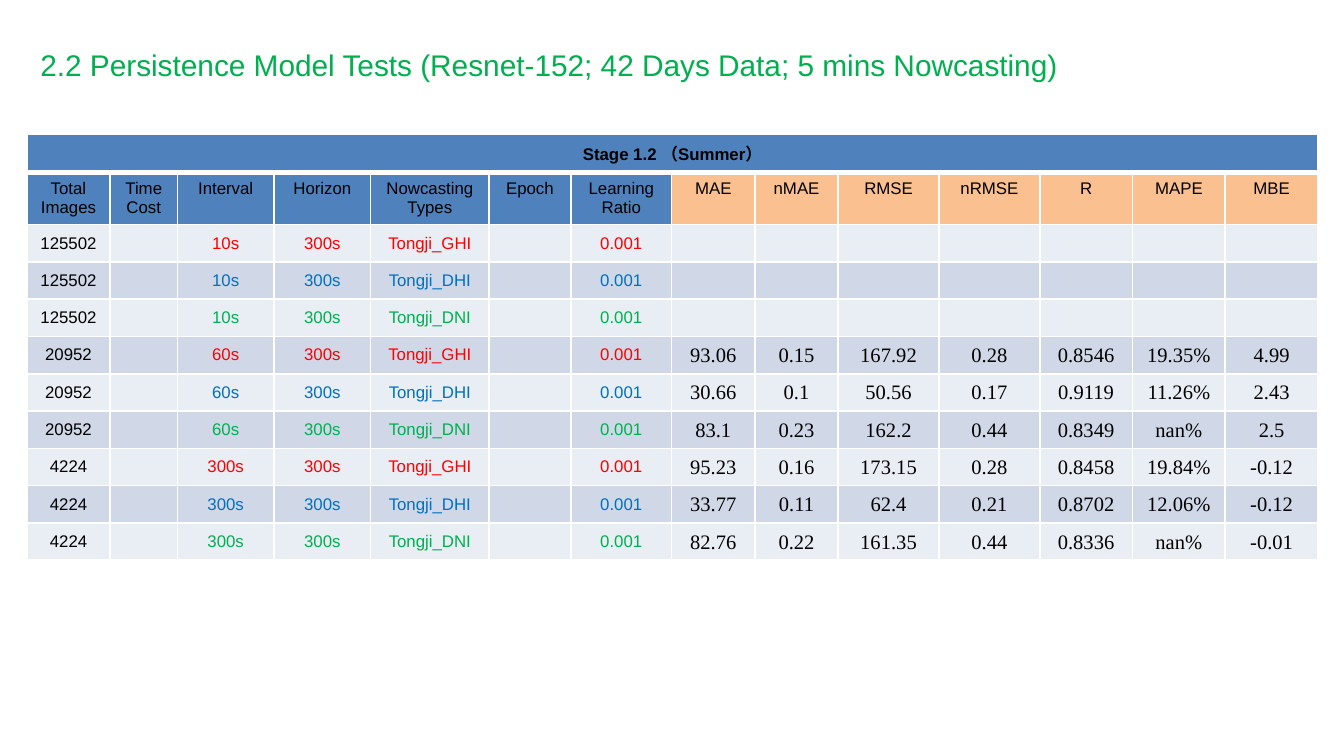
"""Build the slide with the persistence model test results table."""
from lxml import etree
from pptx import Presentation
from pptx.dml.color import RGBColor
from pptx.enum.text import MSO_ANCHOR, PP_ALIGN
from pptx.oxml.ns import qn
from pptx.util import Pt

TOP, MIDDLE = MSO_ANCHOR.TOP, MSO_ANCHOR.MIDDLE
LEFT, CENTER = PP_ALIGN.LEFT, PP_ALIGN.CENTER

TITLE = "2.2 Persistence Model Tests (Resnet-152; 42 Days Data; 5 mins Nowcasting)"
STAGE = "Stage 1.2 （Summer）"
SETTINGS = ["Total\nImages", "Time Cost", "Interval", "Horizon",
            "Nowcasting\nTypes", "Epoch", "Learning Ratio"]
METRICS = ["MAE", "nMAE", "RMSE", "nRMSE", "R", "MAPE", "MBE"]
HORIZON, LEARNING_RATIO = "300s", "0.001"
NOWCASTS = ["Tongji_GHI", "Tongji_DHI", "Tongji_DNI"]
NO_SCORES = [""] * len(METRICS)
TESTS = [
    ("125502", "10s", [NO_SCORES, NO_SCORES, NO_SCORES]),
    ("20952", "60s", [
        ["93.06", "0.15", "167.92", "0.28", "0.8546", "19.35%", "4.99"],
        ["30.66", "0.1", "50.56", "0.17", "0.9119", "11.26%", "2.43"],
        ["83.1", "0.23", "162.2", "0.44", "0.8349", "nan%", "2.5"],
    ]),
    ("4224", "300s", [
        ["95.23", "0.16", "173.15", "0.28", "0.8458", "19.84%", "-0.12"],
        ["33.77", "0.11", "62.4", "0.21", "0.8702", "12.06%", "-0.12"],
        ["82.76", "0.22", "161.35", "0.44", "0.8336", "nan%", "-0.01"],
    ]),
]

THEME = {
    "font": "Arial", "score_font": "Times New Roman",
    "title_size": 16, "size": 9, "score_size": 11,
    "title": "00B050", "text": "000000", "border": "FFFFFF",
    "settings": "4F81BD", "metrics": "FAC090",
    "bands": ["E9EDF4", "D0D8E8"],
    "nowcasts": ["FF0000", "0070C0", "00B050"],
}
SLIDE_SIZE = (720, 405)
TITLE_BOX = (14.4, 21.6, 578, 33)
TABLE_LEFT, TABLE_TOP = 14.4, 72
COLUMN_WIDTHS = [44.6, 36, 51.8, 51.8, 63.4, 43.9, 54,
                 44.6, 44.6, 54, 54, 49.7, 49.7, 49.7]
ROW_HEIGHT, HEADING_HEIGHT = 20, 28
THIN, THICK = 1, 3
SCORE_INSET = 0.7


def write(frame, text, size, color, font=THEME["font"], bold=False, align=CENTER):
    for index, line in enumerate(text.split("\n")):
        paragraph = frame.add_paragraph() if index else frame.paragraphs[0]
        paragraph.alignment = align
        if not line:
            etree.SubElement(paragraph._p, qn("a:endParaRPr"), sz=str(size * 100))
            continue
        run = paragraph.add_run()
        run.text = line
        run.font.name, run.font.size, run.font.bold = font, Pt(size), bold
        run.font.color.rgb = RGBColor.from_string(color)


def add_borders(cell, top, bottom):
    properties = cell._tc.get_or_add_tcPr()
    for side, width in (("L", THIN), ("R", THIN), ("T", top), ("B", bottom)):
        line = etree.SubElement(properties, qn(f"a:ln{side}"), w=str(Pt(width)))
        solid = etree.SubElement(line, qn("a:solidFill"))
        etree.SubElement(solid, qn("a:srgbClr"), val=THEME["border"])


def fill_cell(cell, text, fill, color=THEME["text"], size=THEME["size"],
              anchor=TOP, top=THIN, bottom=THIN, **style):
    add_borders(cell, top, bottom)
    cell.fill.solid()
    cell.fill.fore_color.rgb = RGBColor.from_string(fill)
    cell.vertical_anchor = anchor
    write(cell.text_frame, text, size, color, **style)


def fill_headings(table):
    for column, heading in enumerate(SETTINGS + METRICS):
        fill = THEME["settings" if column < len(SETTINGS) else "metrics"]
        fill_cell(table.cell(0, column), "" if column else STAGE,
                  THEME["settings"], bold=True, bottom=THICK)
        fill_cell(table.cell(1, column), heading, fill, top=THICK)
    table.cell(0, 0).merge(table.cell(0, len(COLUMN_WIDTHS) - 1))


def fill_test(table, row, images, interval, nowcast, scores, color):
    band = THEME["bands"][row % 2]
    settings = [images, "", interval, HORIZON, nowcast, "", LEARNING_RATIO]
    for column, value in enumerate(settings):
        fill_cell(table.cell(row, column), value, band,
                  color if column else THEME["text"], anchor=MIDDLE)
    for column, score in enumerate(scores, len(settings)):
        cell = table.cell(row, column)
        fill_cell(cell, score, band, size=THEME["score_size"], anchor=MIDDLE,
                  font=THEME["score_font"])
        cell.margin_left = cell.margin_right = cell.margin_top = Pt(SCORE_INSET)
        cell.margin_bottom = 0


def main():
    deck = Presentation()
    deck.slide_width, deck.slide_height = map(Pt, SLIDE_SIZE)
    slide = deck.slides.add_slide(deck.slide_layouts[5])

    title = slide.shapes.title
    title.left, title.top, title.width, title.height = map(Pt, TITLE_BOX)
    title.text_frame.word_wrap = True
    title.text_frame.vertical_anchor = TOP
    write(title.text_frame, TITLE, THEME["title_size"], THEME["title"], align=LEFT)

    heights = [ROW_HEIGHT, HEADING_HEIGHT] + [ROW_HEIGHT] * len(TESTS) * len(NOWCASTS)
    table = slide.shapes.add_table(
        len(heights), len(COLUMN_WIDTHS), Pt(TABLE_LEFT), Pt(TABLE_TOP),
        Pt(sum(COLUMN_WIDTHS)), Pt(sum(heights))).table
    table.first_row = table.horz_banding = False
    for column, width in zip(table.columns, COLUMN_WIDTHS):
        column.width = Pt(width)
    for row, height in zip(table.rows, heights):
        row.height = Pt(height)

    fill_headings(table)
    row = 2
    for images, interval, results in TESTS:
        for nowcast, scores, color in zip(NOWCASTS, results, THEME["nowcasts"]):
            fill_test(table, row, images, interval, nowcast, scores, color)
            row += 1
    deck.save("out.pptx")


if __name__ == "__main__":
    main()
